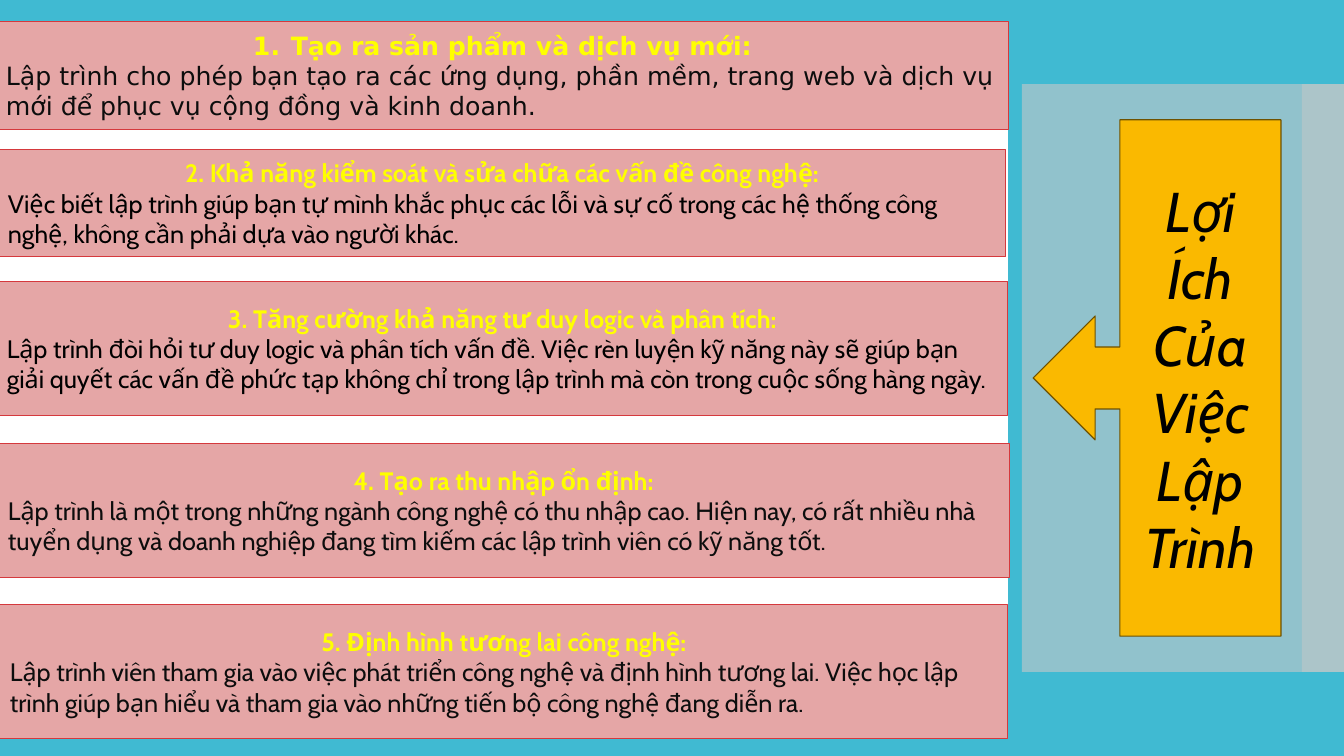
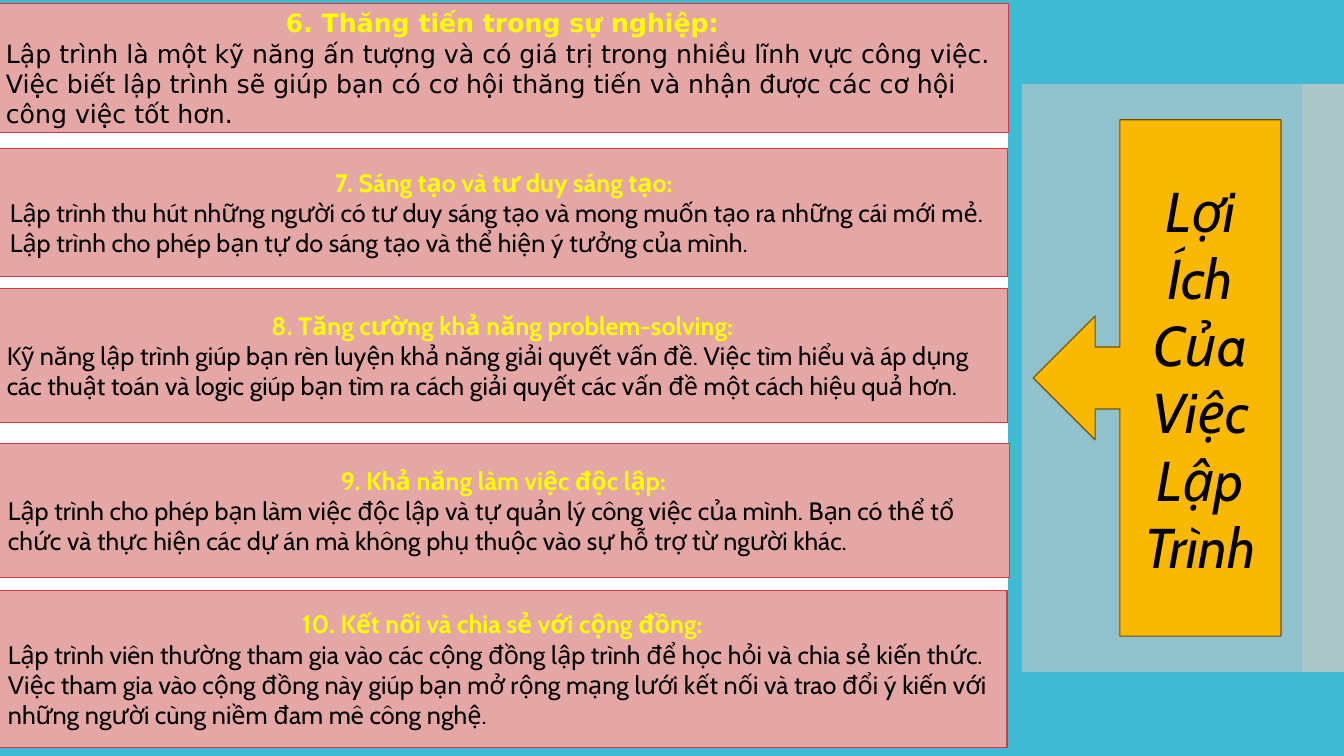
import pptx
import pptx.util
import pptx.dml.color
import pptx.enum.shapes
import pptx.enum.text
import pptx.oxml.ns
from lxml import etree

Pt = pptx.util.Pt
RGB = pptx.dml.color.RGBColor
SHAPE = pptx.enum.shapes.MSO_SHAPE
ALIGN = pptx.enum.text.PP_ALIGN
qn = pptx.oxml.ns.qn

TEAL = RGB(0x40, 0xBA, 0xD2)
WHITE = RGB(0xFF, 0xFF, 0xFF)
GREY = RGB(0xC8, 0xC8, 0xC8)
PINK = RGB(0xE5, 0xA6, 0xA6)
RED = RGB(0xD5, 0x39, 0x3D)
YELLOW = RGB(0xFF, 0xFF, 0x00)
GOLD = RGB(0xFA, 0xB9, 0x00)
BROWN = RGB(0x6E, 0x51, 0x00)
BLACK = RGB(0, 0, 0)
INK = RGB(0x0D, 0x0D, 0x0D)

CABIN = "Cabin"
DEJAVU = "DejaVu Sans"
WIDE, HIGH = 960, 540
BAND_TOP, BAND_HIGH = 60, 420
LABEL = "Lợi Ích Của Việc Lập Trình"

FIRST = [
    ((-2.9, 15.5, 723.6, 77), DEJAVU, INK, True,
     "Tạo ra sản phẩm và dịch vụ mới:",
     "Lập trình cho phép bạn tạo ra các ứng dụng, phần mềm, trang web và dịch vụ mới để phục vụ cộng đồng và kinh doanh."),
    ((-1.4, 106.6, 720, 77), CABIN, BLACK, False,
     "2. Khả năng kiểm soát và sửa chữa các vấn đề công nghệ:",
     "Việc biết lập trình giúp bạn tự mình khắc phục các lỗi và sự cố trong các hệ thống công nghệ, không cần phải dựa vào người khác."),
    ((-2.2, 200.9, 722.2, 95.8), CABIN, BLACK, False,
     "3. Tăng cường khả năng tư duy logic và phân tích:",
     "Lập trình đòi hỏi tư duy logic và phân tích vấn đề. Việc rèn luyện kỹ năng này sẽ giúp bạn giải quyết các vấn đề phức tạp không chỉ trong lập trình mà còn trong cuộc sống hàng ngày."),
    ((-1.4, 316.8, 722.2, 95.8), CABIN, INK, False,
     "4. Tạo ra thu nhập ổn định:",
     "Lập trình là một trong những ngành công nghệ có thu nhập cao. Hiện nay, có rất nhiều nhà tuyển dụng và doanh nghiệp đang tìm kiếm các lập trình viên có kỹ năng tốt."),
    ((0, 432, 720, 95.8), CABIN, INK, False,
     "5. Định hình tương lai công nghệ:",
     "Lập trình viên tham gia vào việc phát triển công nghệ và định hình tương lai. Việc học lập trình giúp bạn hiểu và tham gia vào những tiến bộ công nghệ đang diễn ra."),
]

SECOND = [
    ((-2.9, 2.6, 723.6, 92.2), DEJAVU, BLACK, False,
     "6. Thăng tiến trong sự nghiệp:",
     "Lập trình là một kỹ năng ấn tượng và có giá trị trong nhiều lĩnh vực công việc. Việc biết lập trình sẽ giúp bạn có cơ hội thăng tiến và nhận được các cơ hội công việc tốt hơn."),
    ((0, 106.2, 720, 91.4), CABIN, BLACK, False,
     "7. Sáng tạo và tư duy sáng tạo:",
     "Lập trình thu hút những người có tư duy sáng tạo và mong muốn tạo ra những cái mới mẻ. Lập trình cho phép bạn tự do sáng tạo và thể hiện ý tưởng của mình."),
    ((-2.2, 205.9, 722.2, 95.8), CABIN, BLACK, False,
     "8. Tăng cường khả năng problem-solving:",
     "Kỹ năng lập trình giúp bạn rèn luyện khả năng giải quyết vấn đề. Việc tìm hiểu và áp dụng các thuật toán và logic giúp bạn tìm ra cách giải quyết các vấn đề một cách hiệu quả hơn."),
    ((-1.4, 316.8, 722.2, 95.8), CABIN, BLACK, False,
     "9. Khả năng làm việc độc lập:",
     "Lập trình cho phép bạn làm việc độc lập và tự quản lý công việc của mình. Bạn có thể tổ chức và thực hiện các dự án mà không phụ thuộc vào sự hỗ trợ từ người khác."),
    ((-1.4, 422, 720.7, 112), CABIN, BLACK, False,
     "10. Kết nối và chia sẻ với cộng đồng:",
     "Lập trình viên thường tham gia vào các cộng đồng lập trình để học hỏi và chia sẻ kiến thức. Việc tham gia vào cộng đồng này giúp bạn mở rộng mạng lưới kết nối và trao đổi ý kiến với những người cùng niềm đam mê công nghệ."),
]


def draw(slide, kind, box, fill, line=None, weight=0.75, alpha=None):
    shape = slide.shapes.add_shape(kind, *[Pt(n) for n in box])
    shape.shadow.inherit = False
    shape.fill.solid()
    shape.fill.fore_color.rgb = fill
    if alpha is not None:
        color = shape.fill._xPr.find(qn("a:solidFill"))[0]
        etree.SubElement(color, qn("a:alpha")).set("val", str(alpha * 1000))
    if line is None:
        shape.line.fill.background()
    else:
        shape.line.color.rgb = line
        shape.line.width = Pt(weight)
    return shape


def style(para, face, size, color, align, bold=False, italic=False):
    para.alignment = align
    for run in para.runs:
        font = run.font
        font.name = face
        font.size = Pt(size)
        font.color.rgb = color
        font.bold = bold
        font.italic = italic


def number(para):
    props = para._p.get_or_add_pPr()
    props.set("marL", str(Pt(27)))
    props.set("indent", str(-Pt(27)))
    etree.SubElement(props, qn("a:buFont")).set("typeface", "+mj-lt")
    etree.SubElement(props, qn("a:buAutoNum")).set("type", "arabicPeriod")


def card(slide, box, face, ink, auto, title, body):
    frame = draw(slide, SHAPE.RECTANGLE, box, PINK, RED).text_frame
    frame.word_wrap = True
    frame.text = title + "\n" + body
    head, text = frame.paragraphs
    if auto:
        number(head)
    style(head, face, 18, YELLOW, ALIGN.CENTER, bold=True)
    style(text, face, 18, ink, ALIGN.LEFT)


def callout(slide, box):
    shape = draw(slide, SHAPE.LEFT_ARROW_CALLOUT, box, GOLD, BROWN, 0.85)
    frame = shape.text_frame
    frame.word_wrap = True
    frame.text = LABEL
    style(frame.paragraphs[0], CABIN, 40, BLACK, ALIGN.CENTER, italic=True)


def bands(slide):
    fill = slide.background.fill
    fill.solid()
    fill.fore_color.rgb = TEAL
    for left, right, color, alpha in (
            (930, WIDE, GREY, 50), (0, 720, WHITE, None), (730, WIDE, GREY, 60)):
        box = (left, BAND_TOP, right - left, BAND_HIGH)
        draw(slide, SHAPE.RECTANGLE, box, color, alpha=alpha)


def page(deck, cards):
    slide = deck.slides.add_slide(deck.slide_layouts[6])
    bands(slide)
    for item in cards:
        card(slide, *item)
    callout(slide, (738, 85.6, 177, 368.8))


def main():
    deck = pptx.Presentation()
    deck.slide_width = Pt(WIDE)
    deck.slide_height = Pt(HIGH)
    for cards in (FIRST, SECOND):
        page(deck, cards)
    deck.save("out.pptx")


if __name__ == "__main__":
    main()
